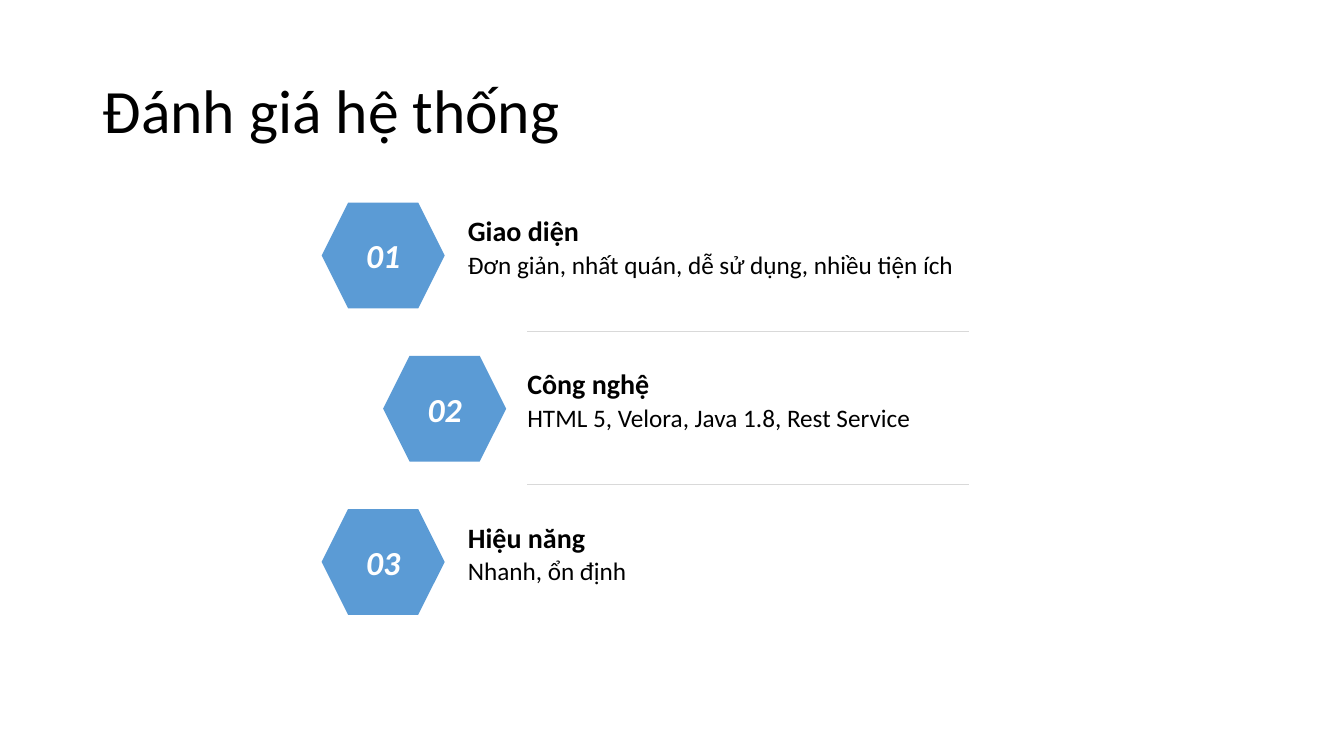
from pptx import Presentation
from pptx import util as u
from pptx.dml.color import RGBColor
from pptx.enum import shapes, text
from pptx.oxml.ns import qn
from lxml import etree

# Content: number, heading, detail, hexagon left, text left
TITLE = "Đánh giá hệ thống"
CRITERIA = [
    ("01", "Giao diện", "Đơn giản, nhất quán, dễ sử dụng, nhiều tiện ích", 3.19, 4.64),
    ("02", "Công nghệ", "HTML 5, Velora, Java 1.8, Rest Service", 3.8, 5.23),
    ("03", "Hiệu năng", "Nhanh, ổn định", 3.19, 4.64),
]

# Format
COLORS = {"text": "000000", "hexagon": "5B9BD5", "number": "FFFFFF", "rule": "D9D9D9"}
FORMATS = {
    "title": {"size": u.Pt(44)},
    "heading": {"size": u.Pt(20), "bold": True},
    "detail": {"size": u.Pt(18)},
    "number": {"size": u.Pt(24), "bold": True, "italic": True},
}

# Grid in inches
WIDTH, HEIGHT = 13.33, 7.5
TOP, PITCH = 2.01, 1.52
HEX_WIDTH, HEX_HEIGHT = 1.22, 1.05
HEADING_DROP, DETAIL_DROP = 0.11, 0.46
RULE_DROP, RULE_LEFT, RULE_RIGHT = 1.28, 5.23, 9.61


def color(name):
    return RGBColor.from_string(COLORS[name])


def write(shape, words, style, ink="text", margins=(0, 0), anchor=text.MSO_ANCHOR.TOP):
    frame = shape.text_frame
    frame.word_wrap = True
    frame.vertical_anchor = anchor
    frame.margin_left = frame.margin_right = u.Inches(margins[0])
    frame.margin_top = frame.margin_bottom = u.Inches(margins[1])
    para = frame.paragraphs[0]
    span = para.add_run()
    span.text = words
    for name, value in {"name": "Calibri", **FORMATS[style]}.items():
        setattr(span.font, name, value)
    span.font.color.rgb = color(ink)
    return para


def add_box(page, *place):
    return page.shapes.add_textbox(*map(u.Inches, place))


def add_hexagon(page, number, left, top):
    place = map(u.Inches, (left, top, HEX_WIDTH, HEX_HEIGHT))
    hexagon = page.shapes.add_shape(shapes.MSO_SHAPE.HEXAGON, *place)
    hexagon.shadow.inherit = False
    hexagon.fill.solid()
    hexagon.fill.fore_color.rgb = color("hexagon")
    hexagon.line.fill.background()
    para = write(hexagon, number, "number", "number", anchor=text.MSO_ANCHOR.MIDDLE)
    para.alignment = text.PP_ALIGN.CENTER


def add_rule(page, top):
    ends = map(u.Inches, (RULE_LEFT, top, RULE_RIGHT, top))
    rule = page.shapes.add_connector(shapes.MSO_CONNECTOR.STRAIGHT, *ends)
    rule.line.color.rgb = color("rule")
    rule.line.width = u.Pt(0.5)
    etree.SubElement(rule._element.spPr, qn("a:effectLst"))


def main():
    deck = Presentation()
    deck.slide_width, deck.slide_height = u.Inches(WIDTH), u.Inches(HEIGHT)
    page = deck.slides.add_slide(deck.slide_layouts[6])

    # Title
    title = add_box(page, 0.92, 0.4, 11.5, 1.45)
    para = write(title, TITLE, "title", margins=(0.1, 0.05), anchor=text.MSO_ANCHOR.MIDDLE)
    para.line_spacing = 0.9

    # Criteria, with a rule between neighbours
    for row, (number, heading, detail, hex_left, text_left) in enumerate(CRITERIA):
        top = TOP + row * PITCH
        add_hexagon(page, number, hex_left, top)
        write(add_box(page, text_left, top + HEADING_DROP, 4.39, 0.34), heading, "heading")
        write(add_box(page, text_left, top + DETAIL_DROP, 6.11, 0.3), detail, "detail")
        if row < len(CRITERIA) - 1:
            add_rule(page, top + RULE_DROP)

    deck.save("out.pptx")


if __name__ == "__main__":
    main()
